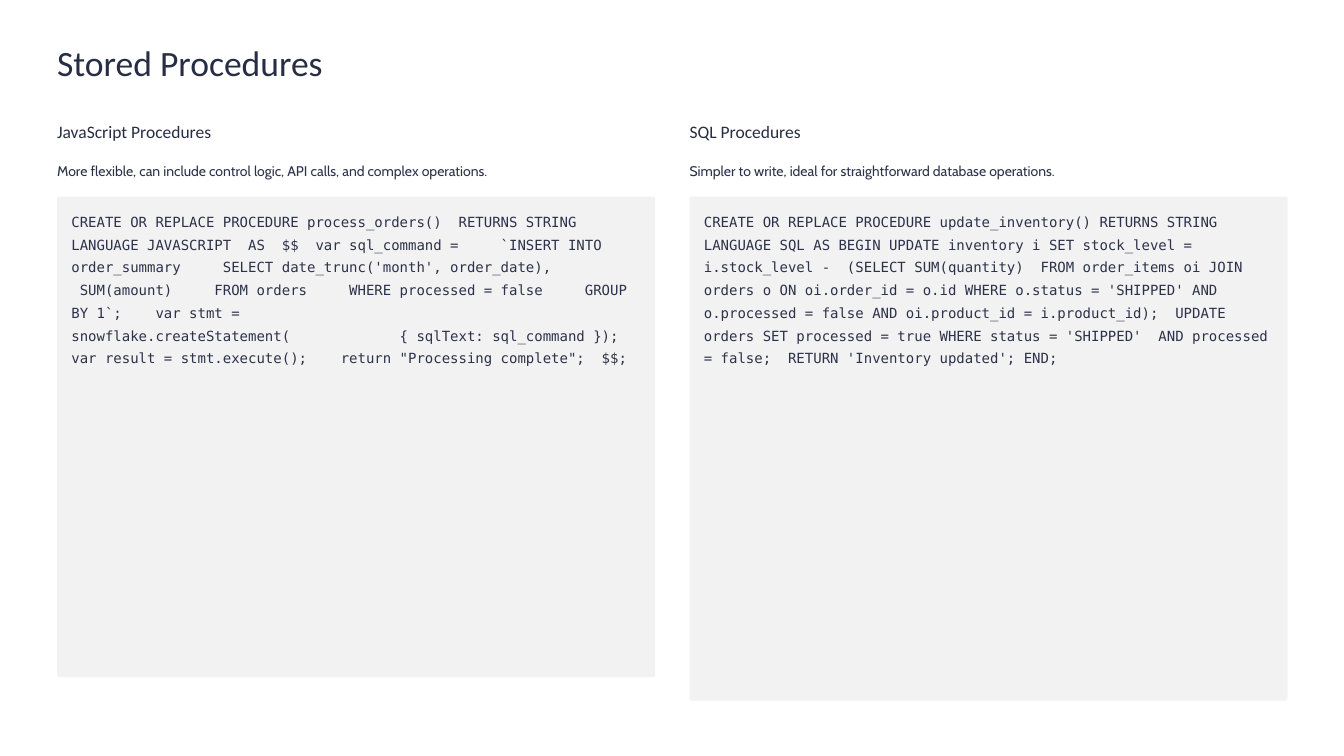
import pptx
import pptx.dml.color
import pptx.enum.shapes
import pptx.enum.text
import pptx.util

Inches = pptx.util.Inches
Pt = pptx.util.Pt

TITLE = {"name": "Calibri", "size": Pt(30.5), "color": "272D45", "line": Pt(38)}
HEADING = {"name": "Calibri", "size": Pt(15), "color": "272D45", "line": Pt(19)}
BODY = {"name": "Cabin", "size": Pt(12), "color": "2C3249", "line": Pt(19.5)}
CODE = {**BODY, "name": "DejaVu Sans Mono"}

MARGIN = 0.68
COLUMN_TOP = 1.43
COLUMN_WIDTH = 7.12
COLUMN_STEP = 7.53
CODE_INSET = 0.17

PROCEDURES = [
    {
        "heading": "JavaScript Procedures",
        "summary": "More flexible, can include control logic, API calls, and complex operations.",
        "code": (
            "CREATE OR REPLACE PROCEDURE process_orders()  RETURNS STRING  "
            "LANGUAGE JAVASCRIPT  AS  $$  var sql_command =     `INSERT INTO "
            "order_summary     SELECT date_trunc('month', order_date),            "
            "SUM(amount)     FROM orders     WHERE processed = false     GROUP BY 1`;    "
            "var stmt = snowflake.createStatement(             "
            "{ sqlText: sql_command });  var result = stmt.execute();    "
            'return "Processing complete";  $$;'
        ),
        "panel_height": 5.72,
    },
    {
        "heading": "SQL Procedures",
        "summary": "Simpler to write, ideal for straightforward database operations.",
        "code": (
            "CREATE OR REPLACE PROCEDURE update_inventory() RETURNS STRING "
            "LANGUAGE SQL AS BEGIN UPDATE inventory i SET stock_level = "
            "i.stock_level -  (SELECT SUM(quantity)  FROM order_items oi JOIN "
            "orders o ON oi.order_id = o.id WHERE o.status = 'SHIPPED' AND "
            "o.processed = false AND oi.product_id = i.product_id);  UPDATE "
            "orders SET processed = true WHERE status = 'SHIPPED'  AND processed "
            "= false;  RETURN 'Inventory updated'; END;"
        ),
        "panel_height": 6,
    },
]


def set_color(target, color):
    target.rgb = pptx.dml.color.RGBColor.from_string(color)


def set_fill(fill, color):
    fill.solid()
    set_color(fill.fore_color, color)


def add_text(slide, text, left, top, width, height, style, wrap=False):
    shape = slide.shapes.add_textbox(Inches(left), Inches(top), Inches(width), Inches(height))
    frame_format = {
        "margin_left": 0,
        "margin_top": 0,
        "margin_right": 0,
        "margin_bottom": 0,
        "word_wrap": wrap,
        "vertical_anchor": pptx.enum.text.MSO_ANCHOR.TOP,
    }
    for name, value in frame_format.items():
        setattr(shape.text_frame, name, value)
    paragraph = shape.text_frame.paragraphs[0]
    paragraph.line_spacing = style["line"]
    run = paragraph.add_run()
    run.text = text
    for name in ("name", "size"):
        setattr(run.font, name, style[name])
    set_color(run.font.color, style["color"])


def add_code_panel(slide, code, left, top, width, height):
    panel = slide.shapes.add_shape(
        pptx.enum.shapes.MSO_SHAPE.ROUNDED_RECTANGLE,
        Inches(left), Inches(top), Inches(width), Inches(height),
    )
    panel.adjustments[0] = 0.004
    panel.shadow.inherit = False
    set_fill(panel.fill, "F2F2F2")
    panel.line.fill.background()
    add_text(slide, code, left + CODE_INSET, top + 0.13,
             width - 2 * CODE_INSET, height - 0.26, CODE, wrap=True)


def add_procedure_column(slide, procedure, left, top, width):
    add_text(slide, procedure["heading"], left, top, 2.14, 0.27, HEADING)
    add_text(slide, procedure["summary"], left, top + 0.44, width, 0.27, BODY)
    add_code_panel(slide, procedure["code"], left, top + 0.91, width, procedure["panel_height"])


def build_comparison_slide(presentation):
    slide = presentation.slides.add_slide(presentation.slide_layouts[6])
    set_fill(slide.background.fill, "FFFFFF")
    add_text(slide, "Stored Procedures", MARGIN, 0.47, 4.27, 0.53, TITLE)
    for index, procedure in enumerate(PROCEDURES):
        left = MARGIN + index * COLUMN_STEP
        add_procedure_column(slide, procedure, left, COLUMN_TOP, COLUMN_WIDTH)


def main():
    presentation = pptx.Presentation()
    presentation.slide_width = Inches(16)
    presentation.slide_height = Inches(9)
    build_comparison_slide(presentation)
    presentation.save("out.pptx")


if __name__ == "__main__":
    main()
